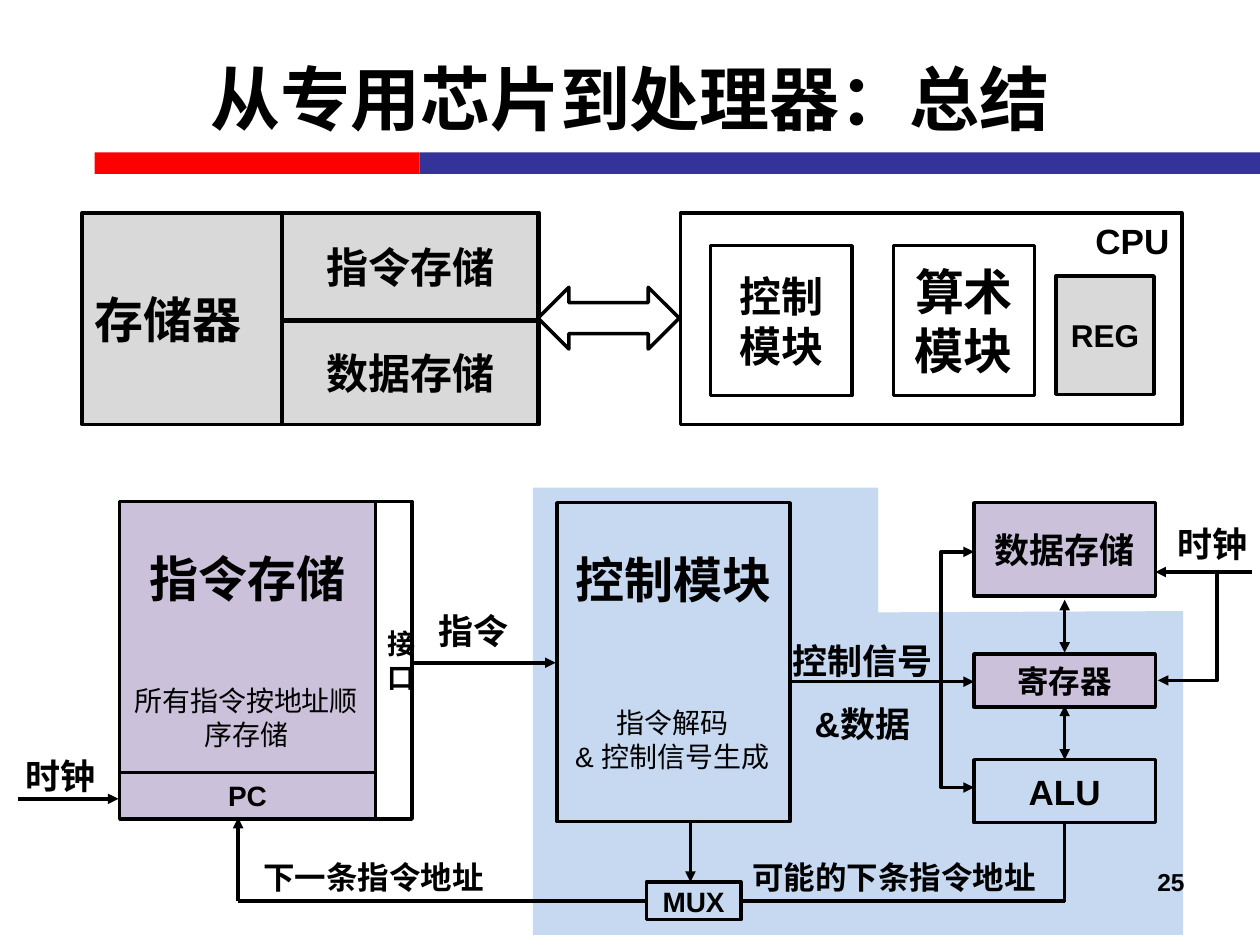
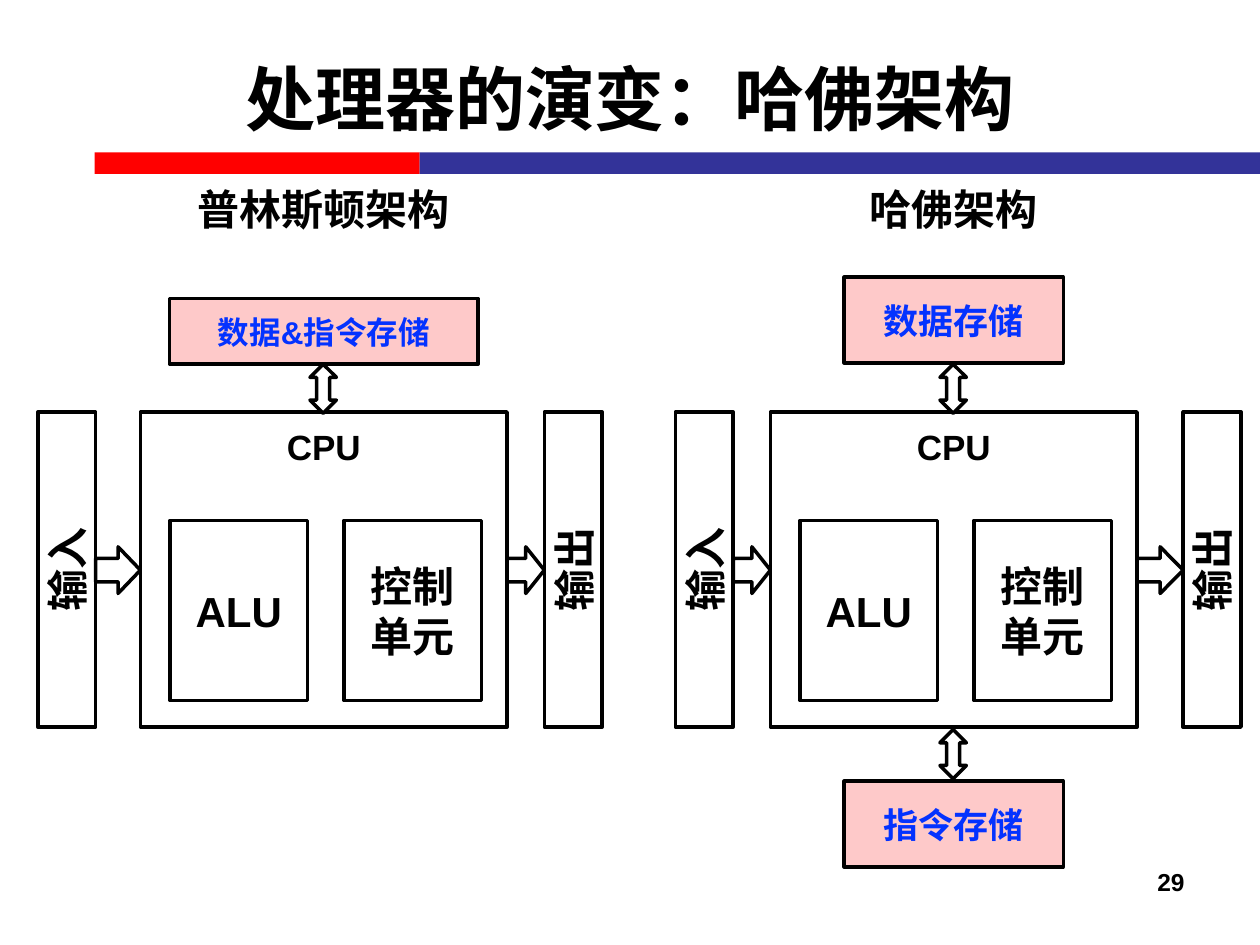
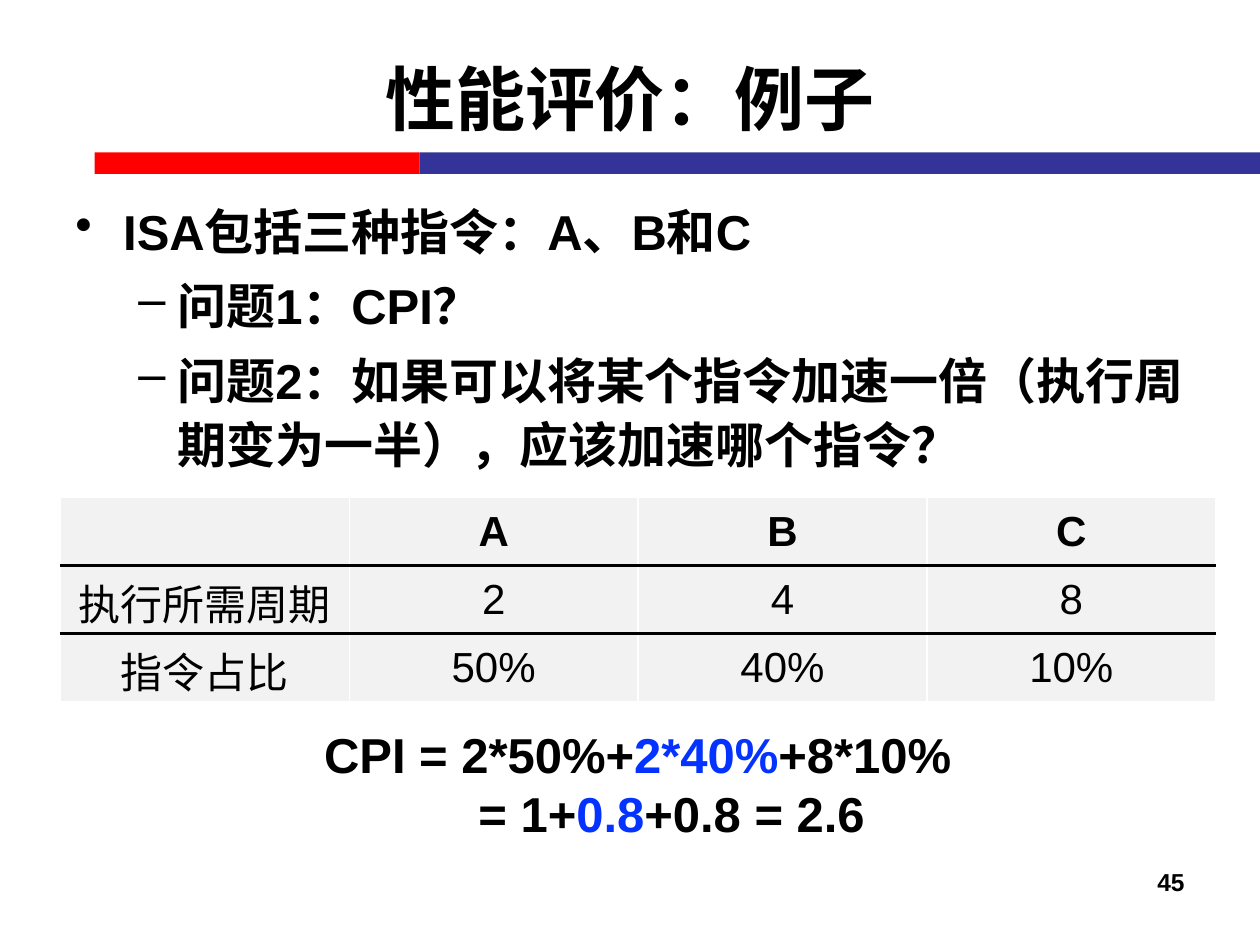
"""Builds three slides on processor structure and performance."""
from lxml import etree
from pptx import Presentation
from pptx import util as u
from pptx.dml.color import RGBColor
from pptx.enum import shapes, text
from pptx.oxml.ns import qn

FONT = "Arial"
BLACK, WHITE, RED, NAVY, BLUE = "000000", "FFFFFF", "FF0000", "333399", "0432FF"
GREY, PALE, LILAC, SKY, PINK = "D9D9D9", "F2F2F2", "CCC1DA", "C6D9F1", "FEC9C9"
ALIGN = {"l": text.PP_ALIGN.LEFT, "c": text.PP_ALIGN.CENTER, "r": text.PP_ALIGN.RIGHT}
ANCHOR = {"t": text.MSO_ANCHOR.TOP, "m": text.MSO_ANCHOR.MIDDLE}
SHAPE = shapes.MSO_SHAPE

BANDS = [(0.75, 2.58, RED), (3.33, 6.67, NAVY)]

SUMMARY = "从专用芯片到处理器：总结"
DATAPATH_AREA = [(4.23, 3.87), (4.23, 7.42), (9.39, 7.42), (9.39, 4.85), (6.97, 4.86), (6.97, 3.87)]
SUMMARY_BOXES = [
    ((0.95, 6.13, 2.03, 0.37), "PC", dict(size=16, fill=LILAC)),
    ((7.73, 3.99, 1.44, 0.74), "数据存储", dict(size=20, fill=LILAC)),
    ((7.73, 5.19, 1.44, 0.42), "寄存器", dict(size=18, fill=LILAC)),
    ((7.73, 6.03, 1.44, 0.5), "ALU", dict(size=20)),
    ((2.98, 3.98, 0.29, 2.52), "接口", dict(size=16)),
    ((0.95, 3.98, 2.03, 2.15), "指令存储", dict(size=28, fill=LILAC, anchor="t", top=0.37)),
    ((4.42, 3.99, 1.85, 2.53), "控制模块", dict(size=28, anchor="t", top=0.37)),
    ((0.65, 1.69, 3.63, 1.68), "存储器", dict(size=28, fill=GREY, align="l")),
    ((2.24, 1.69, 2.03, 0.85), "指令存储", dict(size=24, fill=GREY)),
    ((2.24, 2.55, 2.03, 0.82), "数据存储", dict(size=24, fill=GREY)),
    ((5.4, 1.69, 3.98, 1.68), "CPU", dict(size=20, align="r", anchor="t")),
    ((5.64, 1.95, 1.12, 1.19), "控制模块", dict(size=24)),
    ((7.09, 1.95, 1.12, 1.19), "算术模块", dict(size=28)),
    ((8.38, 2.19, 0.78, 0.94), "REG", dict(size=18, fill=GREY)),
    ((4.27, 2.28, 1.12, 0.49), "", dict(kind=SHAPE.LEFT_RIGHT_ARROW)),
]
MUX = (5.13, 7, 0.75, 0.3)
SUMMARY_LABELS = [
    ((3.19, 4.79, 1.13, 0.44), ["指令"], dict(size=20)),
    ((-0.06, 5.94, 1.08, 0.44), ["时钟"], dict(size=20)),
    ((9.08, 4.1, 1.08, 0.44), ["时钟"], dict(size=20)),
    ((6.12, 4.86, 1.45, 1.05), ["控制信号&数据"], dict(size=20, spacing=1.5)),
    ((1.84, 6.76, 2.25, 0.4), ["下一条指令地址"], dict(size=18, anchor="m")),
    ((5.75, 6.76, 2.69, 0.4), ["可能的下条指令地址"], dict(size=18, anchor="m")),
    ((4.41, 5.55, 1.85, 0.64), ["指令解码", "& 控制信号生成"], dict(size=16, bold=False)),
    ((0.95, 5.38, 2.01, 0.64), ["所有指令按地址顺序存储"], dict(size=16, bold=False)),
]
WIRES = [
    ((0.14, 6.34), (0.94, 6.34), "tail", 2),
    ((6.27, 5.41), (7.73, 5.41), "tail", 2),
    ((3.27, 5.26), (4.41, 5.26), "tail", 2),
    ((9.94, 4.54), (9.17, 4.54), "tail", 2),
    ((8.45, 6.53), (8.45, 7.16), "", 2),
    ((8.45, 7.15), (1.89, 7.15), "", 2.25),
    ((5.48, 6.52), (5.48, 7), "tail", 2),
    ((1.89, 6.49), (1.89, 7.15), "head", 2),
    ((8.45, 5.6), (8.45, 6.03), "head tail", 2),
    ((8.45, 4.76), (8.45, 5.18), "head tail", 2),
]
BENT_WIRES = [
    ([(7.73, 4.38), (7.47, 4.38), (7.47, 6.25), (7.73, 6.25)], "head tail"),
    ([(9.66, 4.52), (9.66, 5.4), (9.19, 5.4)], "tail"),
]

EVOLUTION = "处理器的演变：哈佛架构"
CPU_TOP, CPU_W, CPU_H = 3.27, 2.91, 2.5
PORT_W = 0.46
UNITS = [("ALU", -1.22), ("控制单元", 0.16)]
ARCHITECTURES = [
    dict(axis=2.57, name="普林斯顿架构", ports=[("输入", 0.53), ("输出", 4.55)],
         memories=[("数据&指令存储", 2.37, 2.45, 0.52, 18)], links=[2.89]),
    dict(axis=7.57, name="哈佛架构", ports=[("输入", 5.59), ("输出", 9.62)],
         memories=[("数据存储", 2.2, 1.74, 0.68, 20), ("指令存储", 6.2, 1.74, 0.68, 20)],
         links=[2.89, 5.79]),
]

EXAMPLE = "性能评价：例子"
BULLETS = [
    (0, "ISA包括三种指令：A、B和C"),
    (1, "问题1：CPI？"),
    (1, "问题2：如果可以将某个指令加速一倍（执行周期变为一半），应该加速哪个指令？"),
]
LEVELS = [("•", 0.38, 0.38), ("–", 0.81, 0.31)]
TABLE = [
    ["", "A", "B", "C"],
    ["执行所需周期", "2", "4", "8"],
    ["指令占比", "50%", "40%", "10%"],
]
FORMULA = [
    (0, [("CPI = 2*50%+", BLACK), ("2*40%", BLUE), ("+8*10%", BLACK)]),
    (0.54, [("= 1+", BLACK), ("0.8", BLUE), ("+0.8 = 2.6", BLACK)]),
]


def rgb(value):
    return RGBColor.from_string(value)


def inches(values):
    return [u.Inches(v) for v in values]


def style(p, size, bold=True, color=BLACK, align="c"):
    p.alignment = ALIGN[align]
    p.font.name, p.font.size, p.font.bold = FONT, u.Pt(size), bold
    p.font.color.rgb = rgb(color)


def write(tf, lines, size, bold=True, color=BLACK, align="c", anchor="t", spacing=None):
    tf.word_wrap = True
    tf.vertical_anchor = ANCHOR[anchor]
    for i, line in enumerate(lines):
        p = tf.paragraphs[0] if i == 0 else tf.add_paragraph()
        p.text = line
        style(p, size, bold, color, align)
        if spacing:
            p.line_spacing = spacing


def paint(sp, fill, line, width=2):
    sp.shadow.inherit = False
    if fill:
        sp.fill.solid()
        sp.fill.fore_color.rgb = rgb(fill)
    else:
        sp.fill.background()
    if line:
        sp.line.color.rgb = rgb(line)
        sp.line.width = u.Pt(width)
    else:
        sp.line.fill.background()


def box(s, at, words="", size=20, fill=None, line=BLACK, kind=SHAPE.RECTANGLE,
        anchor="m", align="c", color=BLACK, top=0.05):
    sp = s.shapes.add_shape(kind, *inches(at))
    paint(sp, fill, line)
    if words:
        write(sp.text_frame, [words], size, color=color, align=align, anchor=anchor)
        sp.text_frame.margin_top = u.Inches(top)
    return sp


def label(s, at, lines, **look):
    tf = s.shapes.add_textbox(*inches(at)).text_frame
    write(tf, lines, **look)
    return tf


def arrowheads(sp, ends):
    ln = sp.line._get_or_add_ln()
    for end in ends.split():
        etree.SubElement(ln, qn(f"a:{end}End"), type="triangle")


def wire(s, start, end, ends, width):
    c = s.shapes.add_connector(shapes.MSO_CONNECTOR.STRAIGHT, *inches(start + end))
    c.line.color.rgb = rgb(BLACK)
    c.line.width = u.Pt(width)
    arrowheads(c, ends)
    etree.SubElement(c._element.spPr, qn("a:effectLst"))


def outline(s, points, close, fill=None, line=None):
    first, *rest = [inches(point) for point in points]
    builder = s.shapes.build_freeform(*first)
    builder.add_line_segments(rest, close=close)
    sp = builder.convert_to_shape()
    paint(sp, fill, line)
    return sp


def new_slide(prs, title, number):
    s = prs.slides.add_slide(prs.slide_layouts[6])
    for left, width, color in BANDS:
        box(s, (left, 1.21, width, 0.17), fill=color, line=None)
    label(s, (0.4, 0.15, 9.2, 1.25), [title], size=40, anchor="m")
    label(s, (7.17, 6.83, 2.33, 0.52), [str(number)], size=14, align="r")
    return s


def summary_slide(prs):
    s = new_slide(prs, SUMMARY, 25)
    area = outline(s, DATAPATH_AREA, True, fill=SKY)
    s.shapes._spTree.insert(2, area._element)
    for at, words, look in SUMMARY_BOXES:
        box(s, at, words, **look)
    for args in WIRES:
        wire(s, *args)
    for points, ends in BENT_WIRES:
        arrowheads(outline(s, points, False, line=BLACK), ends)
    box(s, MUX, "MUX", 16, fill=SKY)
    for at, lines, look in SUMMARY_LABELS:
        label(s, at, lines, **look)


def architecture(s, axis, name, ports, memories, links):
    left, right = axis - CPU_W / 2, axis + CPU_W / 2
    middle = CPU_TOP + CPU_H / 2
    box(s, (left, 1.41, CPU_W, 0.5), name, 24, line=None, anchor="t")
    box(s, (left, CPU_TOP, CPU_W, CPU_H), "CPU", 20, fill=WHITE, anchor="t", top=0.11)
    for words, shift in UNITS:
        box(s, (axis + shift, 4.13, 1.09, 1.43), words, 24, fill=WHITE)
    for words, center in ports:
        sp = box(s, (center - CPU_H / 2, middle - PORT_W / 2, CPU_H, PORT_W), words, 24, fill=WHITE)
        sp.rotation = 270
    (_, inlet), (_, outlet) = ports
    for start, end in [(inlet + PORT_W / 2, left), (right, outlet - PORT_W / 2)]:
        box(s, (start, 4.34, end - start, 0.37), fill=WHITE, kind=SHAPE.RIGHT_ARROW)
    for words, top, width, height, size in memories:
        box(s, (axis - width / 2, top, width, height), words, size, fill=PINK, color=BLUE)
    for top in links:
        box(s, (axis - 0.11, top, 0.21, 0.39), fill=WHITE, kind=SHAPE.UP_DOWN_ARROW)


def evolution_slide(prs):
    s = new_slide(prs, EVOLUTION, 29)
    for parts in ARCHITECTURES:
        architecture(s, **parts)


def add_bullets(s):
    tf = label(s, (0.5, 1.5, 9, 3), [line for _, line in BULLETS], size=28, align="l", spacing=1.1)
    for i, (p, (level, _)) in enumerate(zip(tf.paragraphs, BULLETS)):
        mark, indent, hang = LEVELS[level]
        p.level = level
        p.space_before = u.Pt(5.6 if i else 0)
        pPr = p._p.get_or_add_pPr()
        pPr.set("marL", str(u.Inches(indent)))
        pPr.set("indent", str(-u.Inches(hang)))
        bullet = etree.Element(qn("a:buChar"), char=mark)
        pPr.find(qn("a:defRPr")).addprevious(bullet)


def border(cell, side, color, width):
    tcPr = cell._tc.get_or_add_tcPr()
    ln = etree.SubElement(tcPr, qn(f"a:ln{side}"), w=str(u.Pt(width)))
    fill = etree.SubElement(ln, qn("a:solidFill"))
    etree.SubElement(fill, qn("a:srgbClr"), val=color)


def add_cycles_table(s):
    rows, cols = len(TABLE), len(TABLE[0])
    table = s.shapes.add_table(rows, cols, *inches((0.48, 3.95, 9.17, 0.54 * rows))).table
    thin, thick = (WHITE, 1), (BLACK, 2.25)
    for i, row in enumerate(TABLE):
        for j, words in enumerate(row):
            cell = table.cell(i, j)
            edges = {"L": thin, "R": thin, "T": thick if i else thin,
                     "B": thick if i < rows - 1 else thin}
            for side, (color, width) in edges.items():
                border(cell, side, color, width)
            cell.fill.solid()
            cell.fill.fore_color.rgb = rgb(PALE)
            cell.vertical_anchor = ANCHOR["m"]
            p = cell.text_frame.paragraphs[0]
            p.text = words
            style(p, 24, bold=i == 0)


def add_formula(s):
    tf = label(s, (2.54, 5.75, 5.04, 0.94), [""] * len(FORMULA), size=28)
    tf.margin_left = tf.margin_right = tf.margin_top = tf.margin_bottom = 0
    for p, (indent, parts) in zip(tf.paragraphs, FORMULA):
        p._p.get_or_add_pPr().set("marL", str(u.Inches(indent)))
        for words, color in parts:
            r = p.add_run()
            r.text = words
            r.font.color.rgb = rgb(color)


def example_slide(prs):
    s = new_slide(prs, EXAMPLE, 45)
    add_bullets(s)
    add_cycles_table(s)
    add_formula(s)


def main():
    prs = Presentation()
    prs.slide_width, prs.slide_height = inches((10, 7.5))
    summary_slide(prs)
    evolution_slide(prs)
    example_slide(prs)
    prs.save("out.pptx")


if __name__ == "__main__":
    main()
